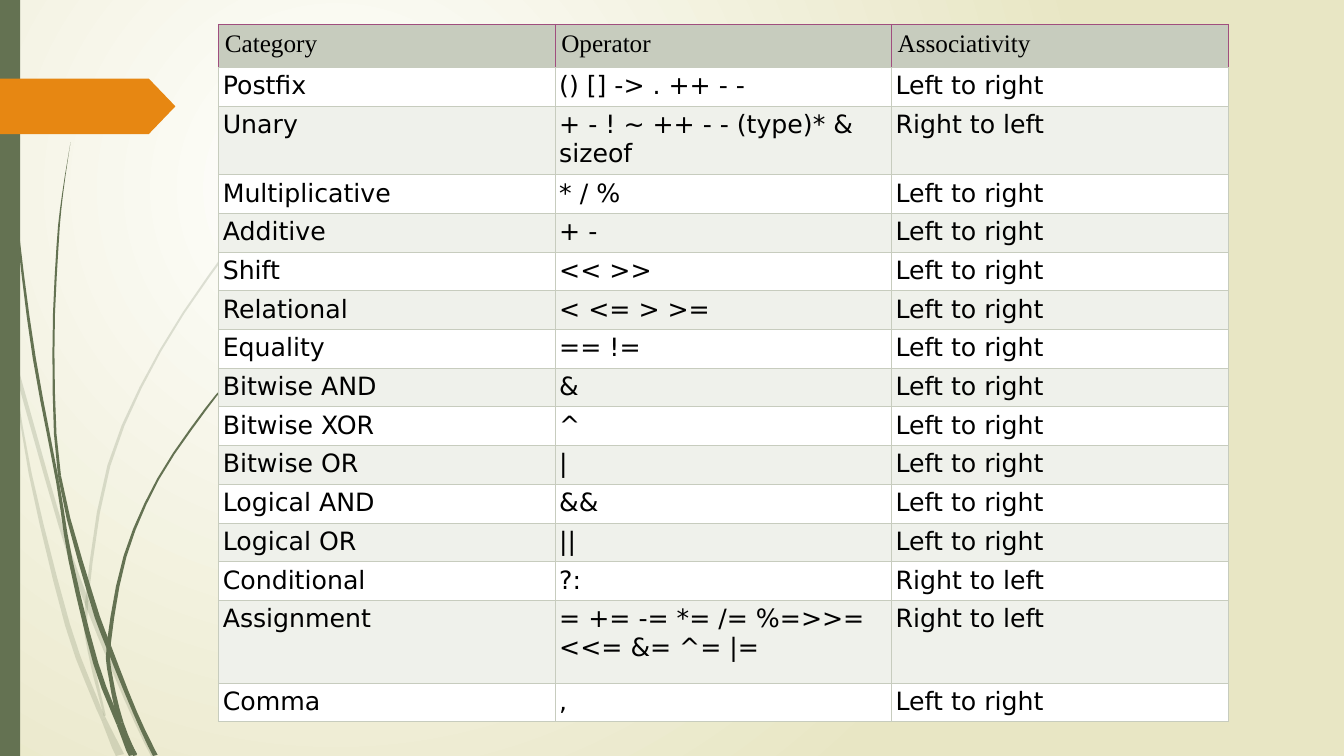
"""Build the operator precedence slide: a grassy backdrop and one table."""
from dataclasses import dataclass
from math import hypot

from lxml import etree
from pptx import Presentation
from pptx import util as u
from pptx.dml import color
from pptx.enum import shapes
from pptx.oxml import ns

COLOURS = {
    "white": "FFFFFF", "cream": "E8E6C4", "moss": "647252", "orange": "E78712",
    "sage": "C7CCBE", "mist": "EFF1EB", "plum": "A04E7E", "black": "000000",
}
HEADINGS = ("Category", "Operator", "Associativity")
LEFT, RIGHT = "Left to right", "Right to left"
ROW_HEIGHT = 0.384
TABLE_WIDTH = 10.01
STEPS = 3


@dataclass
class Blade:
    """A grass blade: (x, y, width) points, the joints that split it, and its opacity."""
    points: list[tuple[float, float, float]]
    joints: tuple[int, ...]
    opacity: int


@dataclass
class Precedence:
    """One table row."""
    category: str
    operators: str
    associativity: str = LEFT
    height: float = ROW_HEIGHT


BLADES = [
    Blade([(0, 2.9, 0.04), (0.11, 3.47, 0.03), (0.19, 3.76, 0.04), (0.6, 5.21, 0.04),
           (0.86, 5.97, 0.05), (1.25, 6.93, 0.04), (1.52, 7.5, 0.05)], (1, 4), 20),
    Blade([(0.11, 3.5, 0), (0.3, 4.7, 0.03), (0.67, 6.2, 0.05), (0.94, 6.93, 0.05),
           (1.03, 7.14, 0.05), (1.19, 7.5, 0.09)], (4,), 20),
    Blade([(3.12, 1.53, 0.01), (2.68, 1.98, 0.01), (2.29, 2.44, 0.02),
           (1.59, 3.48, 0.02), (1.08, 4.62, 0.03), (0.86, 5.97, 0.03),
           (0.89, 6.46, 0.04), (1.04, 7.1, 0.02)], (5,), 20),
    Blade([(0.04, 0, 0.01), (0.07, 1.1, 0.01), (0.18, 2.32, 0.02), (0.34, 3.55, 0.03),
           (0.57, 4.77, 0.03), (0.7, 5.56, 0.04), (0.95, 6.58, 0.05),
           (1.18, 7.18, 0.05), (1.32, 7.5, 0.09)], (4, 7), 100),
    Blade([(0.7, 1.41, 0), (0.62, 1.93, 0.01), (0.57, 2.45, 0.02), (0.53, 3.49, 0.02),
           (0.59, 4.72, 0.03), (0.9, 5.91, 0.05),
           (1.08, 6.42, 0.05), (1.34, 7.07, 0.04), (1.54, 7.5, 0.05)], (4, 6), 100),
    Blade([(2.6, 3.44, 0.01), (2.31, 3.74, 0.01), (2.04, 4.06, 0.02),
           (1.57, 4.75, 0.02), (1.24, 5.52, 0.03), (1.08, 6.38, 0.04),
           (1.1, 6.73, 0.04), (1.2, 7.17, 0.05), (1.34, 7.5, 0.04)], (5, 7), 100),
]
ROWS = [
    Precedence("Postfix", "() [] -> . ++ - -"),
    Precedence("Unary", "+ - ! ~ ++ - - (type)* & sizeof", RIGHT, 0.68),
    Precedence("Multiplicative", "* / %"),
    Precedence("Additive", "+ -"),
    Precedence("Shift", "<< >>"),
    Precedence("Relational", "< <= > >="),
    Precedence("Equality", "== !="),
    Precedence("Bitwise AND", "&"),
    Precedence("Bitwise XOR", "^"),
    Precedence("Bitwise OR", "|"),
    Precedence("Logical AND", "&&"),
    Precedence("Logical OR", "||"),
    Precedence("Conditional", "?:", RIGHT),
    Precedence("Assignment", "= += -= *= /= %=>>= <<= &= ^= |=", RIGHT, 0.82),
    Precedence("Comma", ","),
]


def rgb(name: str) -> color.RGBColor:
    """Look up a named colour."""
    return color.RGBColor.from_string(COLOURS[name])


def paint(shape, name: str) -> None:
    """Give a shape a flat fill with no line or shadow."""
    shape.shadow.inherit = False
    shape.fill.solid()
    shape.fill.fore_color.rgb = rgb(name)
    shape.line.fill.background()


def paint_background(page) -> None:
    """Fill the page with a round gradient from white to cream."""
    fill = page.background.fill
    fill.gradient()
    for stop, name, position in zip(fill.gradient_stops, ("white", "cream"), (0, 1)):
        stop.color.rgb = rgb(name)
        stop.position = position
    linear = page.element.find(".//" + ns.qn("a:lin"))
    circle = etree.Element(ns.qn("a:path"), path="circle")
    etree.SubElement(circle, ns.qn("a:fillToRect"),
                     l="50000", t="50000", r="100000", b="100000")
    linear.getparent().replace(linear, circle)


def smooth(points: list[tuple]) -> list[tuple]:
    """Run a Catmull-Rom curve through the points."""
    padded = [points[0], *points, points[-1]]
    curve = []
    for a, b, c, d in zip(padded, padded[1:], padded[2:], padded[3:]):
        for step in range(STEPS):
            t = step / STEPS
            curve.append(tuple(
                q + t * (r - p) / 2 + t * t * (p - 2.5 * q + 2 * r - s / 2)
                + t ** 3 * (1.5 * (q - r) + (s - p) / 2)
                for p, q, r, s in zip(a, b, c, d)))
    return curve + [points[-1]]


def draw_blade(page, blade: Blade) -> None:
    """Draw a blade, joint by joint, as outlines on both sides of its middle."""
    curve = smooth(blade.points)
    sides = ([], [])
    for before, (x, y, width), after in zip([curve[0], *curve], curve,
                                            [*curve[1:], curve[-1]]):
        dx, dy = after[0] - before[0], after[1] - before[1]
        half = width / 2 / hypot(dx, dy)
        for side, sign in zip(sides, (1, -1)):
            side.append((u.Inches(max(0, x + sign * dy * half)),
                         u.Inches(min(7.5, max(0, y - sign * dx * half)))))
    ends = [0, *(joint * STEPS for joint in blade.joints), len(curve) - 1]
    for start, end in zip(ends, ends[1:]):
        right, left = (side[start:end + 1] for side in sides)
        outline = right + left[::-1]
        builder = page.shapes.build_freeform(*outline[0])
        builder.add_line_segments(outline[1:])
        shape = builder.convert_to_shape()
        paint(shape, "moss")
        if blade.opacity < 100:
            tint = shape.element.spPr.find(ns.qn("a:solidFill"))[0]
            etree.SubElement(tint, ns.qn("a:alpha"), val=str(blade.opacity * 1000))


def draw_block(page, kind, name: str, top: float, width: float, height: float):
    """Draw a plain shape against the left edge."""
    shape = page.shapes.add_shape(kind, 0, u.Inches(top), u.Inches(width),
                                  u.Inches(height))
    paint(shape, name)
    return shape


def fill_cell(cell, words: str, font: str, fill: str, inset: float, edge: str) -> None:
    """Write and format one cell; edge colours all borders but the bottom."""
    cell.text_frame.text = words
    span = cell.text_frame.paragraphs[0].runs[0]
    span.font.name, span.font.size = font, u.Pt(18)
    span.font.color.rgb = rgb("black")
    cell.margin_left = cell.margin_right = u.Inches(inset)
    cell.margin_top = cell.margin_bottom = u.Inches(inset)
    properties = cell._tc.get_or_add_tcPr()
    for tag, name in (("lnL", edge), ("lnR", edge), ("lnT", edge), ("lnB", "sage")):
        line = etree.SubElement(properties, ns.qn("a:" + tag), w=str(u.Pt(0.75)))
        solid = etree.SubElement(line, ns.qn("a:solidFill"))
        etree.SubElement(solid, ns.qn("a:srgbClr"), val=COLOURS[name])
    cell.fill.solid()
    cell.fill.fore_color.rgb = rgb(fill)


def draw_table(page) -> None:
    """Draw the precedence table with alternating row fills."""
    frame = page.shapes.add_table(len(ROWS) + 1, len(HEADINGS), u.Inches(2.17),
                                  u.Inches(0.24), u.Inches(TABLE_WIDTH), u.Inches(6.92))
    table = frame.table
    table.rows[0].height = u.Inches(0.43)
    for column, heading in enumerate(HEADINGS):
        table.columns[column].width = u.Inches(TABLE_WIDTH / len(HEADINGS))
        fill_cell(table.cell(0, column), heading, "Times New Roman", "sage", 0.06, "plum")
    for number, row in enumerate(ROWS, 1):
        table.rows[number].height = u.Inches(row.height)
        fill = "white" if number % 2 else "mist"
        for column, words in enumerate((row.category, row.operators, row.associativity)):
            fill_cell(table.cell(number, column), words, "DejaVu Sans", fill, 0.04, "sage")


def main() -> None:
    """Build and save the deck."""
    deck = Presentation()
    deck.slide_width, deck.slide_height = u.Inches(13.33), u.Inches(7.5)
    page = deck.slides.add_slide(deck.slide_layouts[6])
    paint_background(page)
    for blade in BLADES:
        draw_blade(page, blade)
    draw_block(page, shapes.MSO_SHAPE.RECTANGLE, "moss", 0, 0.2, 7.5)
    tag = draw_block(page, shapes.MSO_SHAPE.PENTAGON, "orange", 0.78, 1.74, 0.55)
    tag.adjustments[0] = 0.48
    draw_table(page)
    deck.save("out.pptx")


if __name__ == "__main__":
    main()
